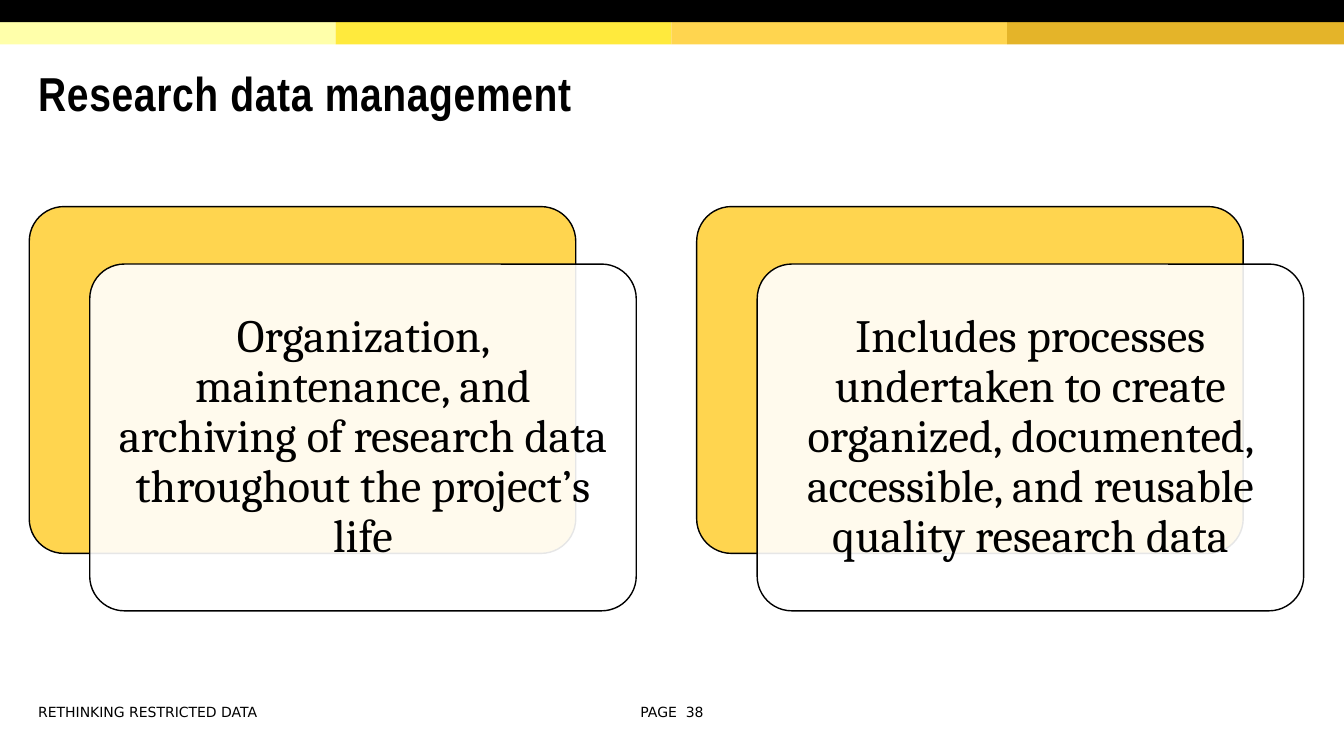
from dataclasses import dataclass

from lxml import etree
from pptx import Presentation
from pptx.dml.color import RGBColor
from pptx.enum.shapes import MSO_SHAPE
from pptx.enum.text import MSO_ANCHOR, PP_ALIGN
from pptx.oxml.ns import qn
from pptx.shapes.autoshape import Shape
from pptx.slide import Slide
from pptx.util import Pt

RECT, ROUND = MSO_SHAPE.RECTANGLE, MSO_SHAPE.ROUNDED_RECTANGLE
LEFT, CENTER = PP_ALIGN.LEFT, PP_ALIGN.CENTER
MIDDLE = MSO_ANCHOR.MIDDLE

PX = 9144  # EMU in one px, 100 px to the inch
WIDTH, HEIGHT = 1333, 750
BAND = 22
COLORS = {
    "black": "000000",
    "white": "FFFFFF",
    "pale": "FFFFAA",
    "yellow": "FFEA3D",
    "amber": "FFD54F",
    "gold": "E4B429",
}
STRIPES = ["pale", "yellow", "amber", "gold"]


@dataclass
class Box:
    x: int
    y: int
    w: int
    h: int

    def emu(self) -> tuple[int, int, int, int]:
        return self.x * PX, self.y * PX, self.w * PX, self.h * PX

    def shift(self, dx: int, dy: int) -> "Box":
        return Box(self.x + dx, self.y + dy, self.w, self.h)

    def inset(self, gap: int) -> "Box":
        return Box(self.x + gap, self.y + gap, self.w - 2 * gap, self.h - 2 * gap)


@dataclass
class Label:
    text: str
    box: Box
    font: str
    size: int
    align: PP_ALIGN = LEFT
    bold: bool = False
    leading: float = 1.0
    track: int = 0  # letter spacing in hundredths of a point
    pad: tuple[int, int] = (10, 5)


@dataclass
class Card:
    text: str
    box: Box


FOOT = "DejaVu Sans"
LABELS = [
    Label("RETHINKING RESTRICTED DATA", Box(28, 693, 572, 27), FOOT, 10),
    Label("PAGE  38", Box(611, 693, 111, 27), FOOT, 10, CENTER),
    Label("Research data management", Box(28, 47, 771, 98), "Arial Narrow", 34,
          bold=True, leading=0.85, track=50),
]
CARDS = [
    Card("Organization, maintenance, and archiving of research data "
         "throughout the project’s life", Box(29, 205, 542, 344)),
    Card("Includes processes undertaken to create organized, documented, "
         "accessible, and reusable quality research data", Box(691, 205, 542, 344)),
]


def color(name: str) -> RGBColor:
    return RGBColor.from_string(COLORS[name])


def add_block(slide: Slide, kind: MSO_SHAPE, box: Box, fill: str) -> Shape:
    shape = slide.shapes.add_shape(kind, *box.emu())
    shape.shadow.inherit = False
    shape.fill.solid()
    shape.fill.fore_color.rgb = color(fill)
    shape.line.fill.background()
    return shape


def add_panel(slide: Slide, box: Box, fill: str) -> Shape:
    """Draw a rounded block with a thin black outline."""
    shape = add_block(slide, ROUND, box, fill)
    shape.adjustments[0] = 0.1
    shape.line.color.rgb = color("black")
    shape.line.width = Pt(1)
    return shape


def set_alpha(shape: Shape, percent: int) -> None:
    tint = shape.fill._xPr.find(qn("a:solidFill"))[0]
    etree.SubElement(tint, qn("a:alpha")).set("val", str(percent * 1000))


def add_label(slide: Slide, label: Label) -> None:
    frame = slide.shapes.add_textbox(*label.box.emu()).text_frame
    frame.word_wrap = True
    frame.vertical_anchor = MIDDLE
    side, edge = label.pad
    frame.margin_left = frame.margin_right = side * PX
    frame.margin_top = frame.margin_bottom = edge * PX
    para = frame.paragraphs[0]
    para.alignment = label.align
    para.line_spacing = label.leading
    run = para.add_run()
    run.text = label.text
    font = run.font
    font.name, font.size, font.bold = label.font, Pt(label.size), label.bold
    font.color.rgb = color("black")
    if label.track:
        font._element.set("spc", str(label.track))


def add_card(slide: Slide, card: Card) -> None:
    add_panel(slide, card.box, "amber")
    front = card.box.shift(60, 57)
    set_alpha(add_panel(slide, front, "white"), 90)
    add_label(slide, Label(card.text, front.inset(10), "Cambria", 33, CENTER,
                           leading=0.9, pad=(14, 14)))


def main() -> None:
    deck = Presentation()
    deck.slide_width, deck.slide_height = WIDTH * PX, HEIGHT * PX
    slide = deck.slides.add_slide(deck.slide_layouts[6])
    count = len(STRIPES)
    for i, fill in enumerate(STRIPES):
        start, end = WIDTH * i // count, WIDTH * (i + 1) // count
        add_block(slide, RECT, Box(start, BAND, end - start, BAND), fill)
    add_block(slide, RECT, Box(0, 0, WIDTH, BAND), "black")
    for label in LABELS:
        add_label(slide, label)
    for card in CARDS:
        add_card(slide, card)
    deck.save("out.pptx")


if __name__ == "__main__":
    main()
